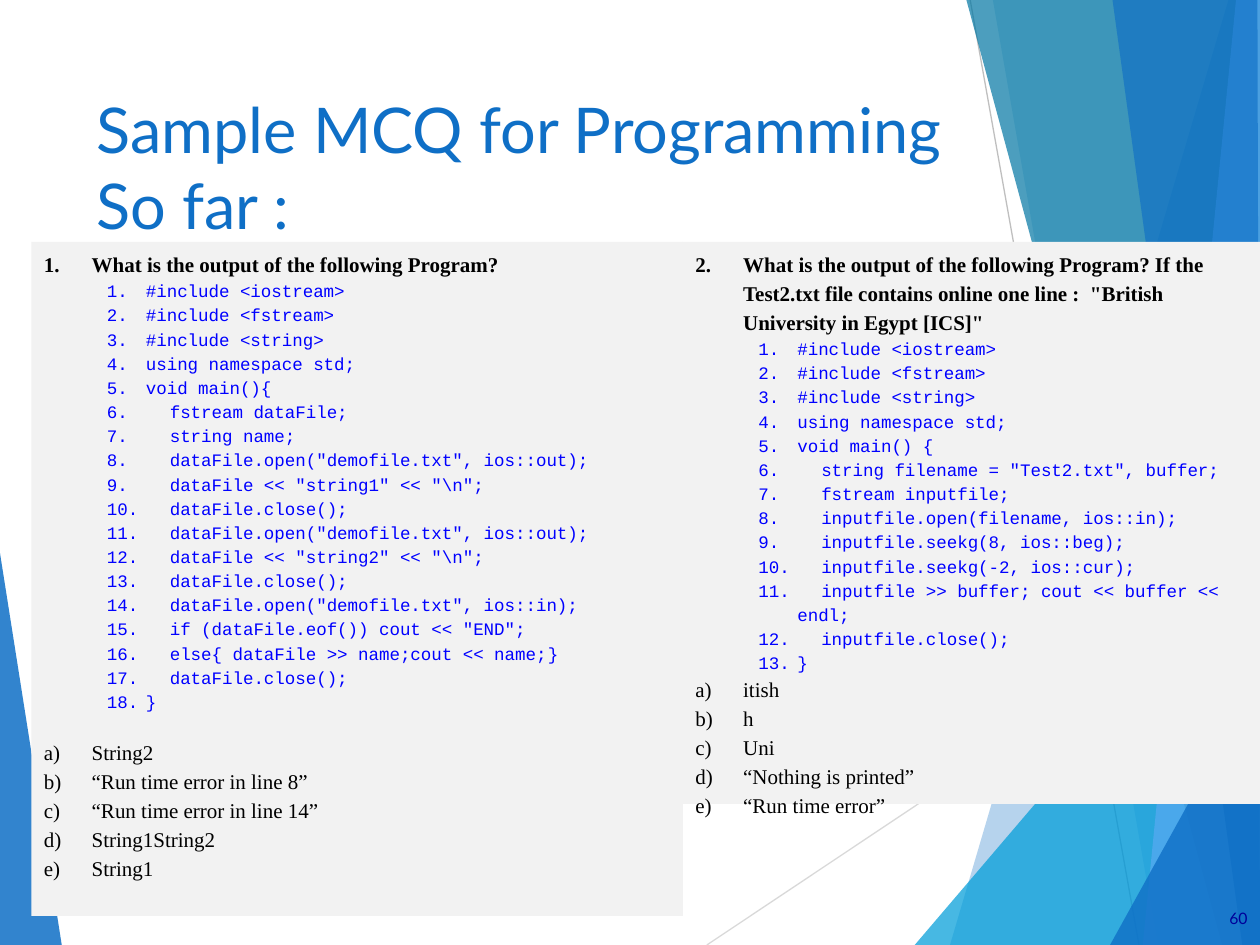
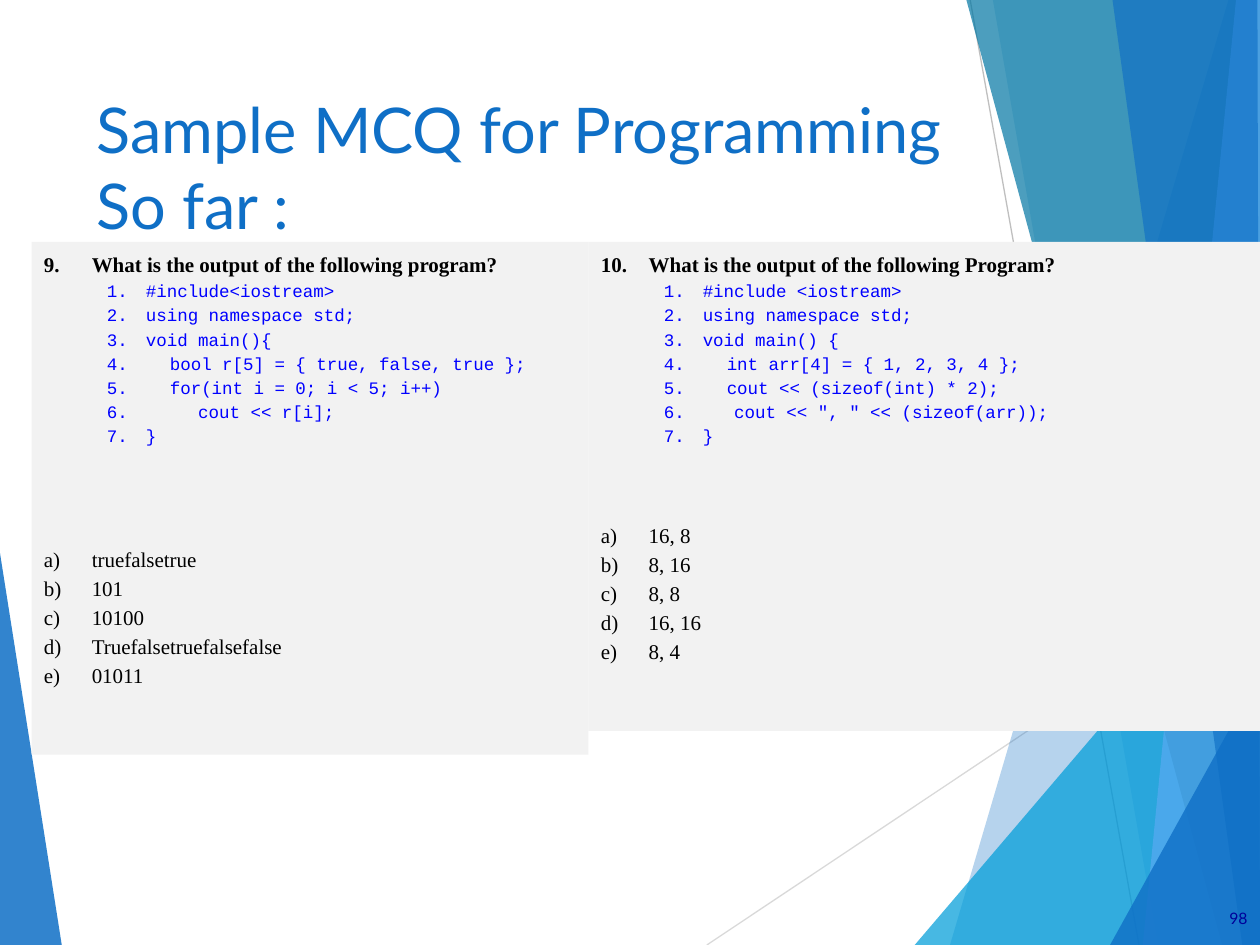
from pptx import Presentation
from pptx.dml.color import RGBColor
from pptx.enum import shapes, text
from pptx.oxml.xmlchemy import OxmlElement
from pptx.util import Pt

PX = 9144
WIDTH, HEIGHT = 1000, 750

BLUE = RGBColor(0x0F, 0x6F, 0xC6)
CYAN = RGBColor(0x00, 0x9D, 0xD9)
TEAL = RGBColor(0x00, 0x76, 0xA3)
SKY = RGBColor(0x59, 0xAA, 0xF2)
PALE_LINE = RGBColor(0xD9, 0xD9, 0xD9)
GRAY_LINE = RGBColor(0xBF, 0xBF, 0xBF)
PANEL = RGBColor(0xF2, 0xF2, 0xF2)
BLACK = RGBColor(0x00, 0x00, 0x00)
CODE_BLUE = RGBColor(0x00, 0x00, 0xFF)
NUMBER_BLUE = RGBColor(0x00, 0x00, 0x99)

HEADING_FONT, BODY_FONT, CODE_FONT = "Lato", "Times New Roman", "Courier New"
CODE_LINE = 13.8
TITLE = "Sample MCQ for Programming So far :"

RAYS = [((561, 750), (1000, 457), PALE_LINE), ((770, 0), (904, 750), GRAY_LINE)]
FACETS = [
    (BLUE, 85, [(0, 439), (49, 750), (0, 750)]),
    (BLUE, 30, [(975, 0), (754, 750), (1000, 750), (1000, 0)]),
    (BLUE, 20, [(788, 0), (919, 750), (1000, 750), (1000, 0)]),
    (CYAN, 72, [(726, 750), (1000, 429), (1000, 750)]),
    (TEAL, 70, [(767, 0), (970, 750), (1000, 750), (1000, 0)]),
    (SKY, 70, [(981, 0), (907, 750), (1000, 750), (1000, 0)]),
    (BLUE, 65, [(883, 0), (986, 750), (1000, 750), (998, 0)]),
    (BLUE, 80, [(881, 750), (1000, 535), (1000, 750)]),
]

SLIDES = [
    ("60", [
        dict(
            box=(25, 192, 517, 535), number=1, gap_lines=1,
            question="What is the output of the following Program?",
            code=[
                "#include <iostream>",
                "#include <fstream>",
                "#include <string>",
                "using namespace std;",
                "void main(){",
                "\tfstream dataFile;",
                "\tstring name;",
                '\tdataFile.open("demofile.txt", ios::out);',
                '\tdataFile << "string1" << "\\n";',
                "\tdataFile.close();",
                '\tdataFile.open("demofile.txt", ios::out);',
                '\tdataFile << "string2" << "\\n";',
                "\tdataFile.close();",
                '\tdataFile.open("demofile.txt", ios::in);',
                '\tif (dataFile.eof()) cout << "END";',
                "\telse{ dataFile >> name;cout << name;\t}",
                "\tdataFile.close();",
                "}",
            ],
            options=["String2", "“Run time error in line 8”", "“Run time error in line 14”",
                     "String1String2", "String1"],
        ),
        dict(
            box=(542, 192, 458, 446), number=2, gap_lines=0,
            question="What is the output of the following Program? If the Test2.txt file "
                     'contains online one line :  "British University in Egypt [ICS]"',
            code=[
                "#include <iostream>",
                "#include <fstream>",
                "#include <string>",
                "using namespace std;",
                "void main() {",
                '\tstring filename = "Test2.txt", buffer;',
                "\tfstream inputfile;",
                "\tinputfile.open(filename, ios::in);",
                "\tinputfile.seekg(8, ios::beg);",
                "\tinputfile.seekg(-2, ios::cur);",
                "\tinputfile >> buffer; cout << buffer << endl;",
                "\tinputfile.close();",
                "}",
            ],
            options=["itish", "h", "Uni", "“Nothing is printed”", "“Run time error”"],
        ),
    ]),
    ("98", [
        dict(
            box=(25, 192, 442, 407), number=9, gap_lines=4,
            question="What is the output of the following program?",
            code=[
                "#include<iostream>",
                "using namespace std;",
                "void main(){",
                "\tbool r[5] = { true, false, true };",
                "\tfor(int i = 0; i < 5; i++)",
                "     cout << r[i];",
                "}",
            ],
            options=["truefalsetrue", "101", "10100", "Truefalsetruefalsefalse", "01011"],
        ),
        dict(
            box=(467, 192, 533, 388), number=10, gap_lines=3,
            question="What is the output of the following Program?",
            code=[
                "#include <iostream>",
                "using namespace std;",
                "void main() {",
                "\tint arr[4] = { 1, 2, 3, 4 };",
                "\tcout << (sizeof(int) * 2);",
                '   cout << ", " << (sizeof(arr));',
                "}",
            ],
            options=["16, 8", "8, 16", "8, 8", "16, 16", "8, 4"],
        ),
    ]),
]


def emu(lengths):
    """Turn px lengths into EMU."""
    return [length * PX for length in lengths]


def add_span(para, words, font, size, color, bold=False):
    """Add one styled run to a paragraph."""
    span = para.add_run()
    span.text = words
    span.font.name, span.font.size, span.font.bold = font, Pt(size), bold
    span.font.color.rgb = color


def add_backdrop(page):
    """Draw the thin rays and the translucent facets."""
    for start, end, color in RAYS:
        ray = page.shapes.add_connector(shapes.MSO_CONNECTOR.STRAIGHT, *emu(start + end))
        ray.line.color.rgb, ray.line.width = color, Pt(0.75)
        ray._element.spPr.append(OxmlElement("a:effectLst"))
    for color, opacity, corners in FACETS:
        builder = page.shapes.build_freeform(*corners[0], scale=PX)
        builder.add_line_segments(corners[1:])
        facet = builder.convert_to_shape()
        facet.shadow.inherit = False
        facet.line.fill.background()
        facet.fill.solid()
        facet.fill.fore_color.rgb = color
        alpha = OxmlElement("a:alpha")
        alpha.set("val", str(opacity * 1000))
        facet.fill._xPr.find(".//{*}srgbClr").append(alpha)


def add_label(page, box, words, size, color, align, anchor):
    """Add a one-paragraph text box in the heading font."""
    frame = page.shapes.add_textbox(*emu(box)).text_frame
    frame.word_wrap, frame.vertical_anchor = True, anchor
    frame.paragraphs[0].alignment = align
    add_span(frame.paragraphs[0], words, HEADING_FONT, size, color)


def number_paragraph(para, scheme, margin, hang, level=0, start=1):
    """Give a paragraph automatic numbering and a hanging indent."""
    para.level, para.line_spacing = level, 1.15
    para.alignment = text.PP_ALIGN.LEFT
    settings = para._p.get_or_add_pPr()
    for name, value in (("marL", margin * PX), ("indent", -hang * PX), ("defTabSz", 100 * PX)):
        settings.set(name, str(value))
    bullet = OxmlElement("a:buAutoNum")
    bullet.set("type", scheme)
    if start > 1:
        bullet.set("startAt", str(start))
    settings.append(bullet)


def add_question(page, box, number, question, code, options, gap_lines):
    """Fill a panel with a question, its code listing and the answers."""
    panel = page.shapes.add_shape(shapes.MSO_SHAPE.RECTANGLE, *emu(box))
    panel.shadow.inherit = False
    panel.line.fill.background()
    panel.fill.solid()
    panel.fill.fore_color.rgb = PANEL
    frame = panel.text_frame
    frame.word_wrap, frame.vertical_anchor = True, text.MSO_ANCHOR.TOP

    heading = frame.paragraphs[0]
    number_paragraph(heading, "arabicPeriod", 38, 38, start=number)
    add_span(heading, question, BODY_FONT, 12, BLACK, bold=True)
    for line in code:
        para = frame.add_paragraph()
        number_paragraph(para, "arabicPeriod", 81, 31, level=1)
        add_span(para, line, CODE_FONT, 10, CODE_BLUE)
    for index, option in enumerate(options):
        para = frame.add_paragraph()
        number_paragraph(para, "alphaLcParenR", 38, 38)
        if index == 0 and gap_lines:
            para.space_before = Pt(gap_lines * CODE_LINE)
        add_span(para, option, BODY_FONT, 12, BLACK)


def add_quiz_slide(deck, page_number, questions):
    """Build one slide with two questions side by side."""
    page = deck.slides.add_slide(deck.slide_layouts[6])
    add_backdrop(page)
    add_label(page, (67, 67, 694, 144), TITLE, 36, BLUE,
              text.PP_ALIGN.LEFT, text.MSO_ANCHOR.TOP)
    for question in questions:
        add_question(page, **question)
    add_label(page, (944, 709, 56, 40), page_number, 9, NUMBER_BLUE,
              text.PP_ALIGN.RIGHT, text.MSO_ANCHOR.MIDDLE)


def main():
    """Build and save the deck."""
    deck = Presentation()
    deck.slide_width, deck.slide_height = emu((WIDTH, HEIGHT))
    for page_number, questions in SLIDES:
        add_quiz_slide(deck, page_number, questions)
    deck.save("out.pptx")


if __name__ == "__main__":
    main()
